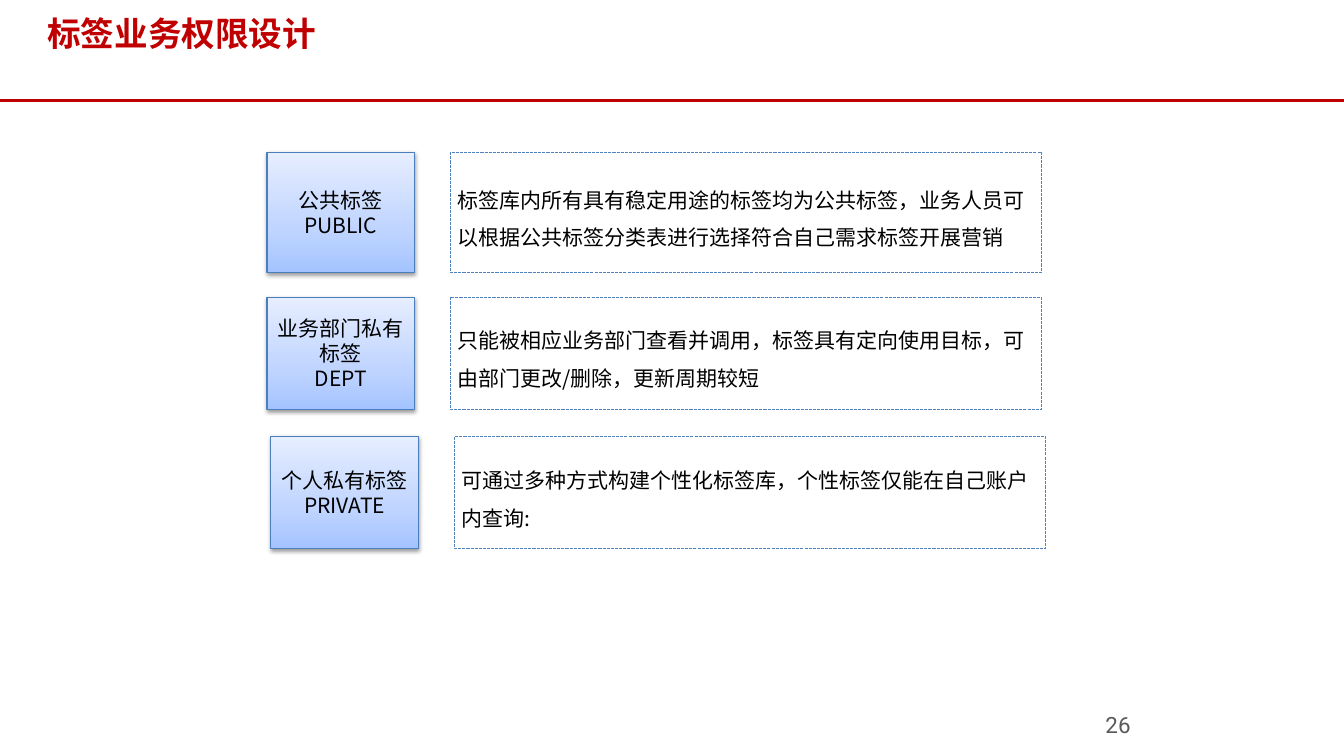
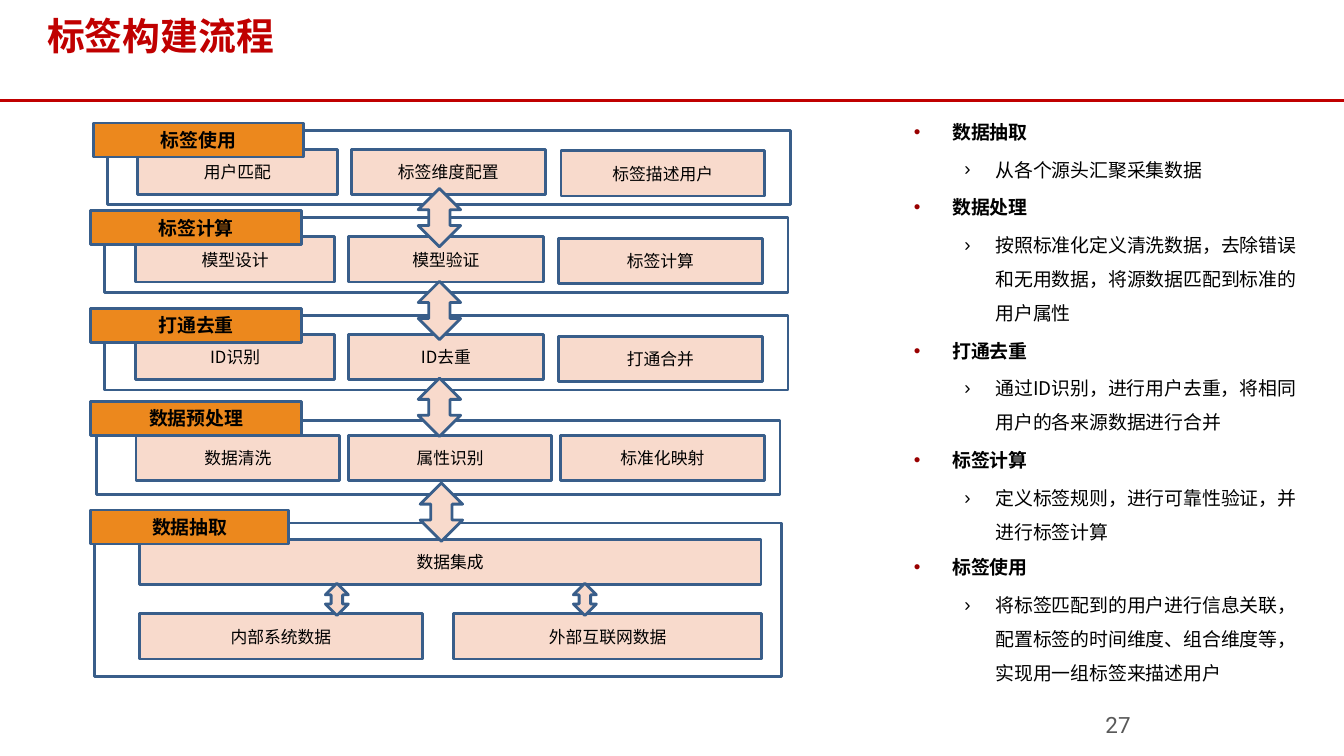
import copy

import lxml.etree
import pptx
import pptx.dml.color
import pptx.enum.dml
import pptx.enum.shapes
import pptx.enum.text
import pptx.oxml.ns
import pptx.util

Cm = pptx.util.Cm
Pt = pptx.util.Pt
SHAPE = pptx.enum.shapes.MSO_SHAPE
ALIGN = pptx.enum.text.PP_ALIGN
ANCHOR = pptx.enum.text.MSO_ANCHOR
qn = pptx.oxml.ns.qn

FONT = "Noto Sans CJK SC"
RED = "C00000"
BLACK = "000000"
WHITE = "FFFFFF"
NAVY = "395E8A"
PEACH = "F8DACC"
ORANGE = "EC881D"
BULLET_RED = "990000"
TAG_GRADIENT = [(0, "A4C4FF"), (0.35, "BFD4FF"), (1, "E6EEFF")]

WIDTH, HEIGHT = 33.87, 19.05
CELL_HEIGHT = 1.14
TAB_HEIGHT = 0.86

PERMISSIONS = [
    (6.73, 3.84, 3.02, "公共标签", "PUBLIC",
     "标签库内所有具有稳定用途的标签均为公共标签，业务人员可以根据公共标签分类表进行选择符合自己需求标签开展营销"),
    (6.73, 7.49, 2.82, "业务部门私有标签", "DEPT",
     "只能被相应业务部门查看并调用，标签具有定向使用目标，可由部门更改/删除，更新周期较短"),
    (6.83, 11, 2.82, "个人私有标签", "PRIVATE",
     "可通过多种方式构建个性化标签库，个性标签仅能在自己账户内查询:"),
]

UPPER_TIERS = [
    (2.29, 7.77, "打通去重", ["ID识别", "ID去重", "打通合并"]),
    (2.29, 5.31, "标签计算", ["模型设计", "模型验证", "标签计算"]),
    (2.35, 3.1, "标签使用", ["用户匹配", "标签维度配置", "标签描述用户"]),
]
UPPER_CELLS = [(1.12, 0.66, 5.03), (6.5, 0.66, 4.9), (11.79, 0.7, 5.13)]

STEPS = [
    ("数据抽取", 1.5, "从各个源头汇聚采集数据"),
    ("数据处理", 1.5, "按照标准化定义清洗数据，去除错误和无用数据，将源数据匹配到标准的用户属性"),
    ("打通去重", 1.5, "通过ID识别，进行用户去重，将相同用户的各来源数据进行合并"),
    ("标签计算", 1.5, "定义标签规则，进行可靠性验证，并进行标签计算"),
    ("标签使用", 1.4, "将标签匹配到的用户进行信息关联，配置标签的时间维度、组合维度等，实现用一组标签来描述用户"),
]


def rgb(value):
    return pptx.dml.color.RGBColor.from_string(value)


def add_element(parent, tag, **attributes):
    element = lxml.etree.SubElement(parent, qn(tag))
    for name, value in attributes.items():
        element.set(name, str(value))
    return element


def place(shape, left, top, width, height):
    shape.left, shape.top = Cm(left), Cm(top)
    shape.width, shape.height = Cm(width), Cm(height)


def set_frame(frame, anchor, side, edge):
    frame.word_wrap = True
    frame.auto_size = pptx.enum.text.MSO_AUTO_SIZE.NONE
    frame.vertical_anchor = anchor
    frame.margin_left = frame.margin_right = Cm(side)
    frame.margin_top = frame.margin_bottom = Cm(edge)


def set_font(para, size, color=BLACK, bold=False, name=FONT):
    font = para.font
    font.name = name
    font.size = Pt(size)
    font.bold = bold
    font.color.rgb = rgb(color)
    properties = para._p.get_or_add_pPr().find(qn("a:defRPr"))
    add_element(properties, "a:ea", typeface=FONT)


def write_lines(frame, lines, size, align=ALIGN.LEFT, spacing=1.0, **style):
    for index, line in enumerate(lines):
        para = frame.paragraphs[0] if index == 0 else frame.add_paragraph()
        para.text = line
        para.alignment = align
        para.line_spacing = spacing
        set_font(para, size, **style)


def add_page(deck, layout, title, title_size, number):
    page = deck.slides.add_slide(deck.slide_layouts[layout])
    heading = page.shapes.title
    place(heading, 0.94, 0.25, 31.8, 1.85)
    set_frame(heading.text_frame, ANCHOR.TOP, 0.25, 0.08)
    write_lines(heading.text_frame, [title], title_size, color=RED, bold=True, name="Arial")

    rule = page.shapes.add_connector(
        pptx.enum.shapes.MSO_CONNECTOR.STRAIGHT, 0, Cm(2.53), Cm(WIDTH), Cm(2.53))
    rule.line.color.rgb = rgb(RED)
    rule.line.width = Pt(2.25)
    add_element(rule._element.spPr, "a:effectLst")

    box = page.shapes.add_textbox(Cm(27.86), Cm(18.03), Cm(1.2), Cm(0.69))
    set_frame(box.text_frame, ANCHOR.TOP, 0, 0)
    write_lines(box.text_frame, [str(number)], 16, spacing=0.85, color="595959", name="Roboto")
    return page


def add_block(page, kind, left, top, width, height, fill=None, line=NAVY, weight=2):
    block = page.shapes.add_shape(kind, Cm(left), Cm(top), Cm(width), Cm(height))
    block.shadow.inherit = False
    if fill:
        block.fill.solid()
        block.fill.fore_color.rgb = rgb(fill)
    else:
        block.fill.background()
    block.line.color.rgb = rgb(line)
    block.line.width = Pt(weight)
    return block


def add_label(page, text, left, top, width, height, fill, size, bold=False):
    label = add_block(page, SHAPE.RECTANGLE, left, top, width, height, fill)
    set_frame(label.text_frame, ANCHOR.MIDDLE, 0.2, 0.1)
    write_lines(label.text_frame, [text], size, ALIGN.CENTER, bold=bold)


def add_cell(page, text, left, top, width):
    add_label(page, text, left, top, width, CELL_HEIGHT, PEACH, 12)


def add_tier(page, name, tab, frame, cells):
    add_block(page, SHAPE.RECTANGLE, *frame, fill=WHITE)
    for cell in cells:
        add_cell(page, *cell)
    add_label(page, name, *tab, TAB_HEIGHT, ORANGE, 13.5, True)


def add_arrow(page, left, top, width, height):
    add_block(page, SHAPE.UP_DOWN_ARROW, left, top, width, height, PEACH)


def add_tag(page, lines, left, top, width, height):
    tag = add_block(page, SHAPE.RECTANGLE, left, top, width, height, line="4B7EBC", weight=0.75)
    tag.fill.gradient()
    tag.fill.gradient_angle = 90
    stop_list = tag._element.spPr.find(".//" + qn("a:gsLst"))
    stop_list.append(copy.deepcopy(stop_list[0]))
    for stop, (position, color) in zip(tag.fill.gradient_stops, TAG_GRADIENT):
        stop.position = position
        stop.color.rgb = rgb(color)
    effects = tag._element.spPr.find(qn("a:effectLst"))
    shadow = add_element(effects, "a:outerShdw", blurRad=Pt(3.1), dist=Pt(1.6),
                         dir=5400000, rotWithShape=0)
    add_element(add_element(shadow, "a:srgbClr", val=BLACK), "a:alpha", val=38000)
    set_frame(tag.text_frame, ANCHOR.MIDDLE, 0.18, 0.1)
    write_lines(tag.text_frame, lines, 15, ALIGN.CENTER)


def add_description(page, text, left, top, width, height):
    box = add_block(page, SHAPE.RECTANGLE, left, top, width, height, line="4F81BD", weight=0.75)
    box.line.dash_style = pptx.enum.dml.MSO_LINE.SQUARE_DOT
    set_frame(box.text_frame, ANCHOR.MIDDLE, 0.18, 0.1)
    write_lines(box.text_frame, [text], 15, spacing=1.5)


def write_bullet(para, text, level, spacing, before):
    para.text = text
    para.level = level
    para.alignment = ALIGN.LEFT
    para.line_spacing = spacing
    para.space_before = Pt(before)
    indent, hanging = [(0.97, 0.97), (2.06, 0.79)][level]
    properties = para._p.get_or_add_pPr()
    properties.set("marL", str(Cm(indent)))
    properties.set("indent", str(-Cm(hanging)))
    bullet_color = add_element(properties, "a:buClr")
    add_element(bullet_color, "a:srgbClr", val=[BULLET_RED, BLACK][level])
    add_element(properties, "a:buFont", typeface="Arial")
    add_element(properties, "a:buChar", char="•›"[level])
    set_font(para, 13.5, bold=level == 0)


def add_steps(page):
    body = page.placeholders[1]
    place(body, 22.78, 2.62, 10.19, 14.9)
    frame = body.text_frame
    set_frame(frame, ANCHOR.TOP, 0.25, 0.13)
    for index, (heading, spacing, detail) in enumerate(STEPS):
        para = frame.add_paragraph() if index else frame.paragraphs[0]
        write_bullet(para, heading, 0, spacing, 2.7 if index else 0)
        write_bullet(frame.add_paragraph(), detail, 1, 1.5, 2.7)


def build_permissions(deck):
    page = add_page(deck, 5, "标签业务权限设计", 24, 26)
    for left, top, height, name, code, text in PERMISSIONS:
        add_tag(page, [name, code], left, top, 3.71, height)
        add_description(page, text, left + 4.62, top, 14.91, height)


def build_process(deck):
    page = add_page(deck, 1, "标签构建流程", 27, 27)
    add_tier(page, "数据抽取", (2.29, 12.85, 4.98), (2.39, 13.18, 17.3, 3.86),
             [("数据集成", 3.51, 13.59, 15.67),
              ("内部系统数据", 3.51, 15.47, 7.14),
              ("外部互联网数据", 11.43, 15.47, 7.77)])
    add_tier(page, "数据预处理", (2.29, 10.11, 5.31), (2.44, 10.59, 17.22, 1.88),
             [(text, 3.43 + 5.35 * column, 10.97, 5.13)
              for column, text in enumerate(["数据清洗", "属性识别", "标准化映射"])])
    for left, top, name, texts in UPPER_TIERS:
        cells = [(text, left + across, top + down, width)
                 for text, (across, down, width) in zip(texts, UPPER_CELLS)]
        add_tier(page, name, (left, top, 5.31), (left + 0.35, top + 0.18, 17.22, 1.88), cells)
    for left, top in [(10.54, 4.75), (10.54, 7.09), (10.54, 9.53), (10.59, 12.17)]:
        add_arrow(page, left, top, 1.07, 1.47)
    for left in (8.2, 14.45):
        add_arrow(page, left, 14.7, 0.58, 0.81)
    add_steps(page)


def main():
    deck = pptx.Presentation()
    deck.slide_width, deck.slide_height = Cm(WIDTH), Cm(HEIGHT)
    build_permissions(deck)
    build_process(deck)
    deck.save("out.pptx")


if __name__ == "__main__":
    main()
